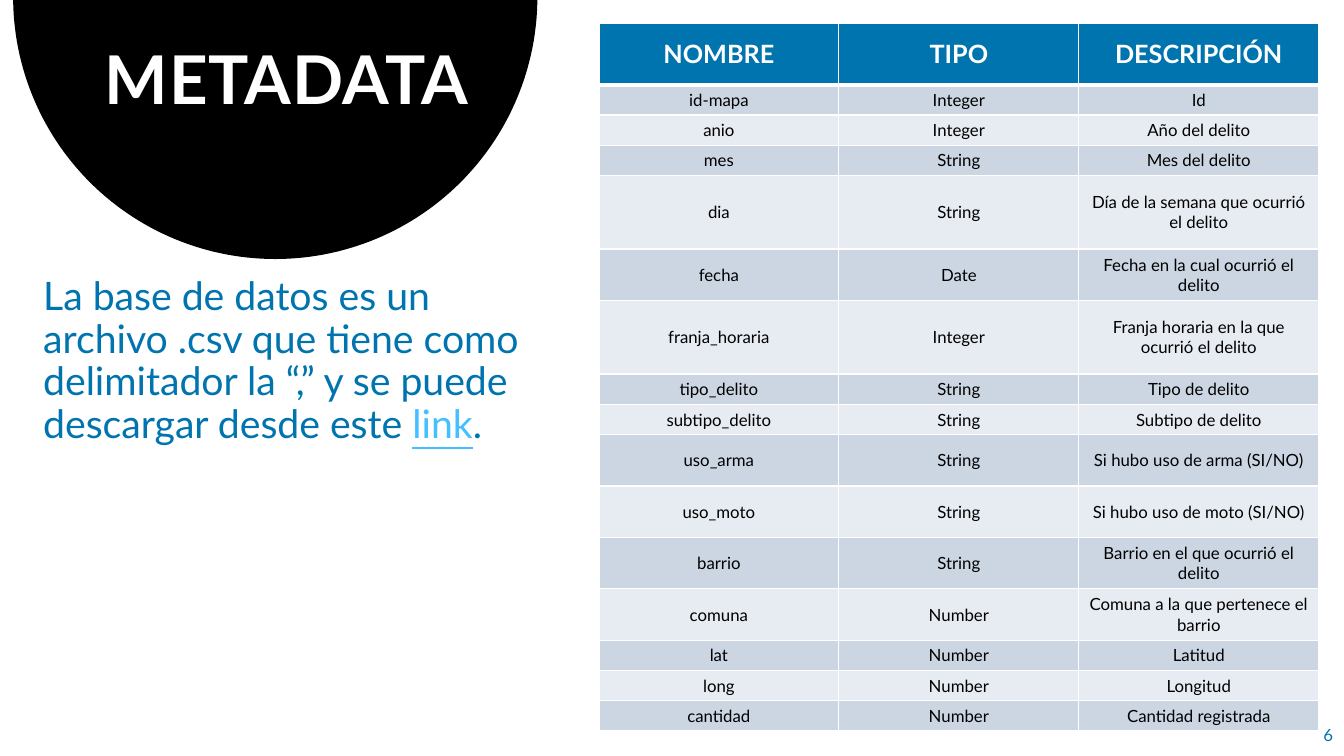
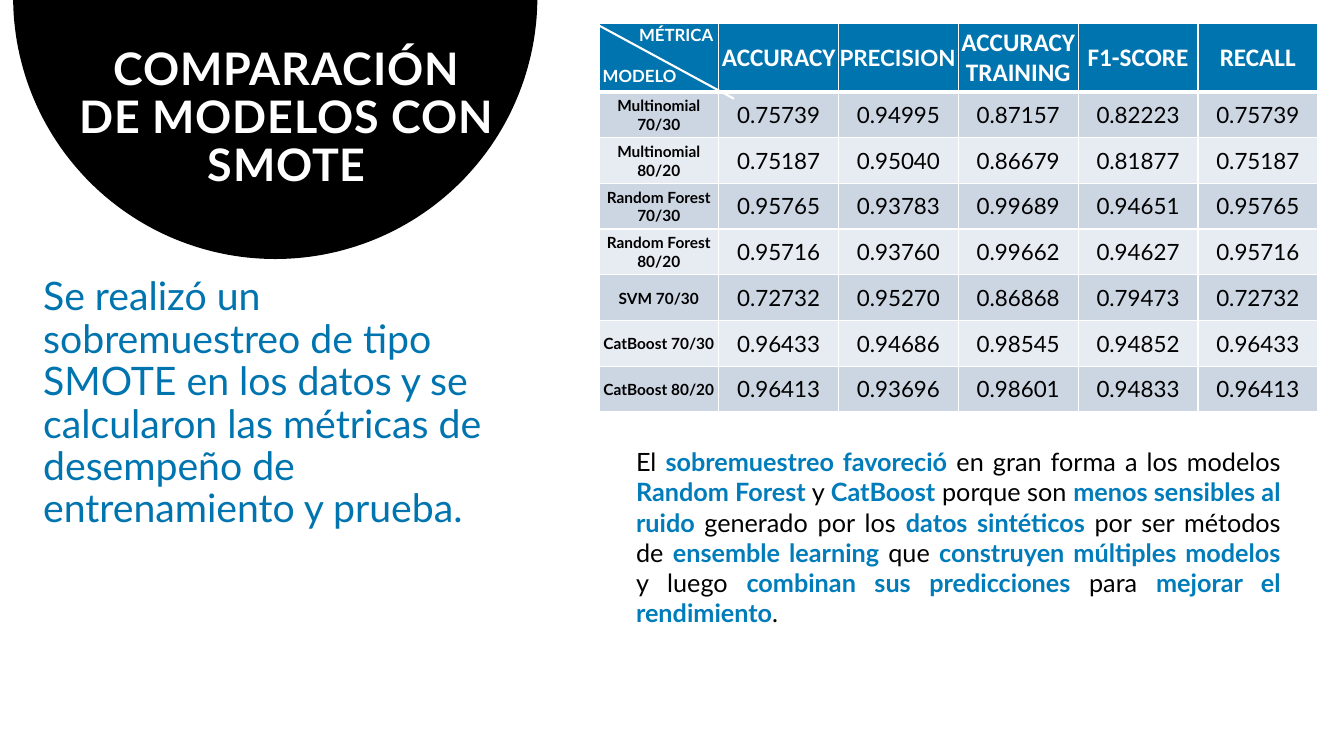
from dataclasses import dataclass
from math import cos, pi, sin

from lxml.etree import SubElement
from pptx import Presentation
from pptx.dml.color import RGBColor
from pptx.enum.shapes import MSO_CONNECTOR as Conn
from pptx.enum.text import MSO_ANCHOR as Anchor, PP_ALIGN as Align
from pptx.oxml.ns import qn
from pptx.util import Inches, Pt


@dataclass(frozen=True)
class Theme:
    font: str = "Lato"
    alt: str = "Calibri"
    blue: str = "0074AF"
    accent: str = "007CBA"
    link: str = "43C0FF"
    black: str = "000000"
    white: str = "FFFFFF"
    bands: tuple = ("CCD6E3", "E7EBF2")
    big: int = 48
    title: int = 32
    body: int = 28
    head: int = 18
    cell: int = 16
    small: int = 12
    tiny: int = 11


T = Theme()
FIELDS = [
    ("id-mapa", "Integer", "Id", 0.3),
    ("anio", "Integer", "Año del delito", 0.3),
    ("mes", "String", "Mes del delito", 0.3),
    ("dia", "String", "Día de la semana que ocurrió el delito", 0.73),
    ("fecha", "Date", "Fecha en la cual ocurrió el delito", 0.51),
    ("franja_horaria", "Integer", "Franja horaria en la que ocurrió el delito", 0.73),
    ("tipo_delito", "String", "Tipo de delito", 0.3),
    ("subtipo_delito", "String", "Subtipo de delito", 0.3),
    ("uso_arma", "String", "Si hubo uso de arma (SI/NO)", 0.51),
    ("uso_moto", "String", "Si hubo uso de moto (SI/NO)", 0.51),
    ("barrio", "String", "Barrio en el que ocurrió el delito", 0.51),
    ("comuna", "Number", "Comuna a la que pertenece el barrio", 0.51),
    ("lat", "Number", "Latitud", 0.3),
    ("long", "Number", "Longitud", 0.3),
    ("cantidad", "Number", "Cantidad registrada", 0.3),
]
SCORES = [
    ("", "ACCURACY", "PRECISION", "ACCURACY TRAINING", "F1-SCORE", "RECALL"),
    ("Multinomial 70/30", "0.75739", "0.94995", "0.87157", "0.82223", "0.75739"),
    ("Multinomial 80/20", "0.75187", "0.95040", "0.86679", "0.81877", "0.75187"),
    ("Random Forest 70/30", "0.95765", "0.93783", "0.99689", "0.94651", "0.95765"),
    ("Random Forest 80/20", "0.95716", "0.93760", "0.99662", "0.94627", "0.95716"),
    ("SVM 70/30", "0.72732", "0.95270", "0.86868", "0.79473", "0.72732"),
    ("CatBoost 70/30", "0.96433", "0.94686", "0.98545", "0.94852", "0.96433"),
    ("CatBoost 80/20", "0.96413", "0.93696", "0.98601", "0.94833", "0.96413"),
]
FINDING = (
    "El *sobremuestreo favoreció* en gran forma a los modelos *Random Forest* y "
    "*CatBoost* porque son *menos sensibles al ruido *generado por los "
    "*datos sintéticos *por ser métodos de *ensemble learning *que "
    "*construyen múltiples modelos* y luego *combinan sus predicciones *para "
    "*mejorar el rendimiento*."
)


def rgb(code):
    return RGBColor.from_string(code)


def write(frame, text, size=T.body, color=T.blue, font=T.font, bold=False,
          align=Align.LEFT, lead=None, space=None, mark=None):
    """Fill a frame; parts between asterisks take the font settings in mark."""
    para = frame.paragraphs[0]
    para.alignment = align
    if lead:
        para.line_spacing = lead
    for i, part in enumerate(text.split("*")):
        look = dict(color=color, bold=bold, line=None)
        if i % 2:
            look.update(mark)
        run = para.add_run()
        run.text = part
        run.font.name, run.font.size = font, Pt(size)
        run.font.bold, run.font.underline = look["bold"], look["line"]
        run.font.color.rgb = rgb(look["color"])
        if space:
            run.font._element.set("spc", str(space))


def label(slide, box, text, inset=(0.1, 0.05, 0.1, 0.05), anchor=Anchor.TOP, **form):
    frame = slide.shapes.add_textbox(*map(Inches, box)).text_frame
    frame.word_wrap = True
    frame.vertical_anchor = anchor
    pad(frame, inset)
    write(frame, text, **form)


def pad(item, inset):
    """Set the left, top, right and bottom margins of a frame or cell."""
    for side, gap in zip(("left", "top", "right", "bottom"), inset):
        setattr(item, "margin_" + side, Inches(gap))


def edge(cell, low):
    """Give a cell white borders, the bottom one low points wide."""
    prop = cell._tc.get_or_add_tcPr()
    for tag, width in (("lnL", 1), ("lnR", 1), ("lnT", 1), ("lnB", low)):
        line = SubElement(prop, qn("a:" + tag), w=str(Pt(width)))
        fill = SubElement(line, qn("a:solidFill"))
        SubElement(fill, qn("a:srgbClr"), val=T.white)


def grid(slide, left, top, width, rows, highs, style):
    """Draw a banded table; style(row, col) gives the inset and text format."""
    cols = len(rows[0])
    table = slide.shapes.add_table(
        len(rows), cols, *map(Inches, (left, top, width, sum(highs)))).table
    for col in table.columns:
        col.width = Inches(width / cols)
    for r, (row, high) in enumerate(zip(rows, highs)):
        table.rows[r].height = Inches(high)
        for c, text in enumerate(row):
            cell = table.cell(r, c)
            edge(cell, 1 if r else 3)
            cell.fill.solid()
            cell.fill.fore_color.rgb = rgb(T.bands[(r - 1) % 2] if r else T.blue)
            cell.vertical_anchor = Anchor.MIDDLE
            inset, form = style(r, c)
            pad(cell, inset)
            if text:
                write(cell.text_frame, text, **form)


def disc(slide, x, y, radius, steps=120):
    """Draw the part of a black disc that lies below the slide's top edge."""
    start = -y / radius
    turn = (pi - 2 * start) / steps
    spots = [(Inches(x + radius * cos(start + i * turn)),
              Inches(max(0, y + radius * sin(start + i * turn))))
             for i in range(steps + 1)]
    path = slide.shapes.build_freeform(*spots[0], scale=1.0)
    path.add_line_segments(spots[1:], close=True)
    shape = path.convert_to_shape()
    shape.shadow.inherit = False
    shape.fill.solid()
    shape.fill.fore_color.rgb = rgb(T.black)
    shape.line.fill.background()


def base(deck, title, size, body):
    """Add a slide with the black disc, its title and the text below."""
    slide = deck.slides.add_slide(deck.slide_layouts[6])
    disc(slide, 2.73, -0.03, 2.6)
    label(slide, (0.33, 2.7, 4.99, 2.2), body, lead=0.9,
          mark=dict(color=T.link, line=True))
    label(slide, (0.61, 0, 4.47, 1.97), title, inset=(0.16, 0.46, 0.16, 0.05),
          size=size, color=T.white, bold=True, align=Align.CENTER, lead=0.9, space=60)
    return slide


def field_style(r, c):
    form = dict(size=T.small, color=T.black) if r else dict(
        size=T.head, color=T.white, bold=True)
    return (0.1, 0.05, 0.1, 0.05), dict(form, align=Align.CENTER)


def score_style(r, c):
    inset = (0.01, 0.01, 0.01, 0)
    form = dict(color=T.black, align=Align.CENTER)
    if r == 0:
        form.update(size=T.head, color=T.white, bold=True, font=T.alt)
        if c == 2:
            form.update(size=T.cell, font=T.font, align=Align.LEFT)
    elif c == 0:
        form.update(size=T.tiny, bold=True)
    else:
        inset = (0.03, 0.02, 0.03, 0.02)
        form.update(size=T.cell)
    return inset, form


def corner(slide, left, top):
    """Split the table's first cell into its two axis names."""
    for text, dx, dy in (("MODELO", -0.06, 0.37), ("MÉTRICA", 0.3, -0.03)):
        label(slide, (left + dx, top + dy, 0.97, 0.3), text,
              size=T.small, color=T.white, bold=True)
    ends = (left - 0.17, top - 0.07, left + 1.34, top + 0.75)
    line = slide.shapes.add_connector(Conn.STRAIGHT, *map(Inches, ends))
    line.line.color.rgb = rgb(T.white)
    line.line.width = Pt(1.5)
    SubElement(line._element.spPr, qn("a:effectLst"))


def fields(deck):
    slide = base(deck, "METADATA", T.big,
                 "La base de datos es un archivo .csv que tiene como delimitador "
                 "la “,” y se puede descargar desde este *link*.")
    label(slide, (12.85, 7.09, 0.47, 0.4), "6", anchor=Anchor.MIDDLE,
          size=T.small, align=Align.RIGHT)
    rows = [("NOMBRE", "TIPO", "DESCRIPCIÓN")] + [row[:3] for row in FIELDS]
    highs = [0.61] + [row[3] for row in FIELDS]
    grid(slide, 5.94, 0.23, 7.14, rows, highs, field_style)


def scores(deck):
    slide = base(deck, "COMPARACIÓN DE MODELOS CON SMOTE", T.title,
                 "Se realizó un sobremuestreo de tipo SMOTE en los datos y se "
                 "calcularon las métricas de desempeño de entrenamiento y prueba.")
    left, top = 5.94, 0.23
    highs = [0.68] + [0.454] * (len(SCORES) - 1)
    grid(slide, left, top, 7.13, SCORES, highs, score_style)
    corner(slide, left, top)
    label(slide, (6.21, 4.38, 6.59, 1.92), FINDING, size=T.head, color=T.black,
          align=Align.JUSTIFY, mark=dict(color=T.accent, bold=True))


def main():
    deck = Presentation()
    deck.slide_width, deck.slide_height = Inches(13.33), Inches(7.5)
    fields(deck)
    scores(deck)
    deck.save("out.pptx")


if __name__ == "__main__":
    main()
